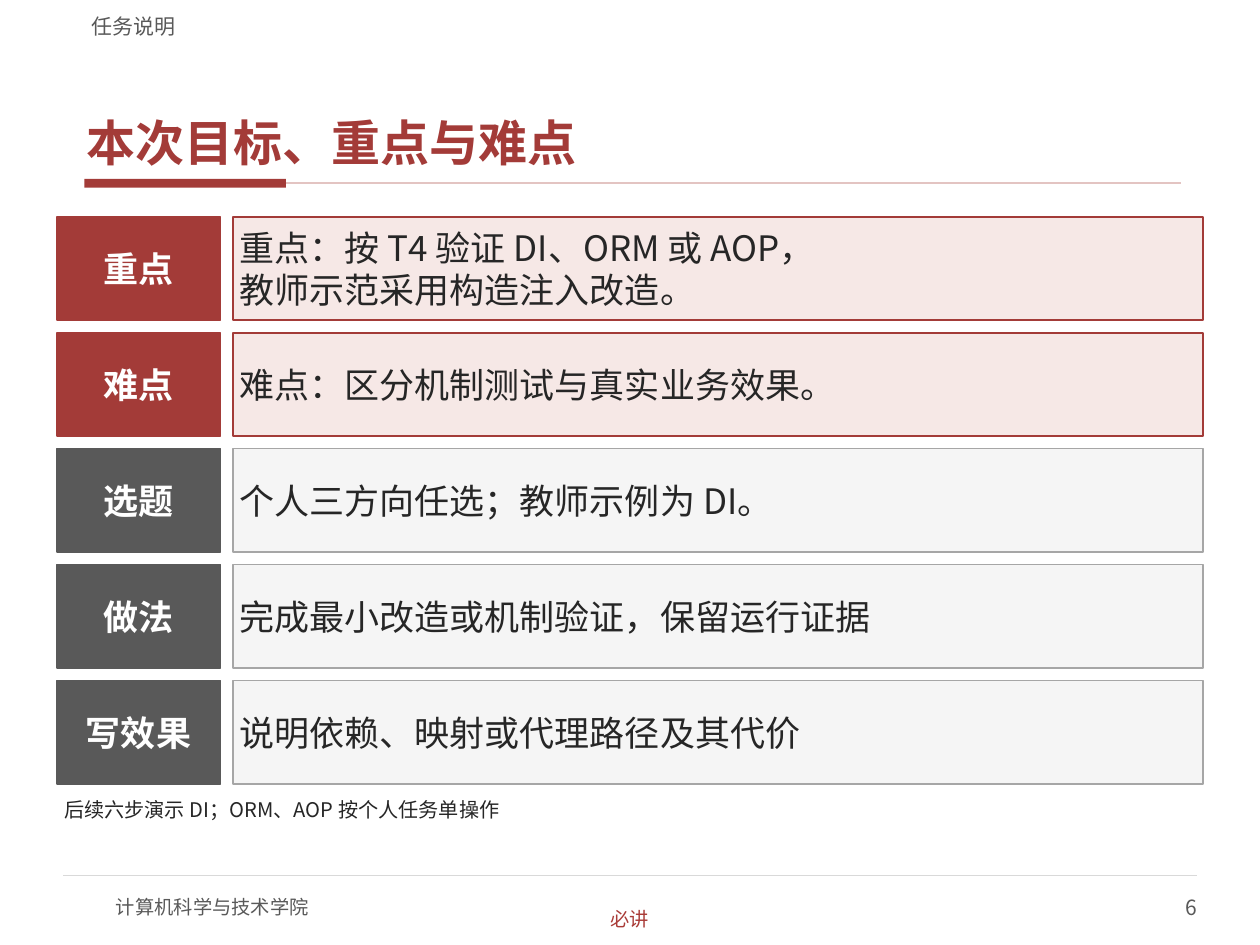
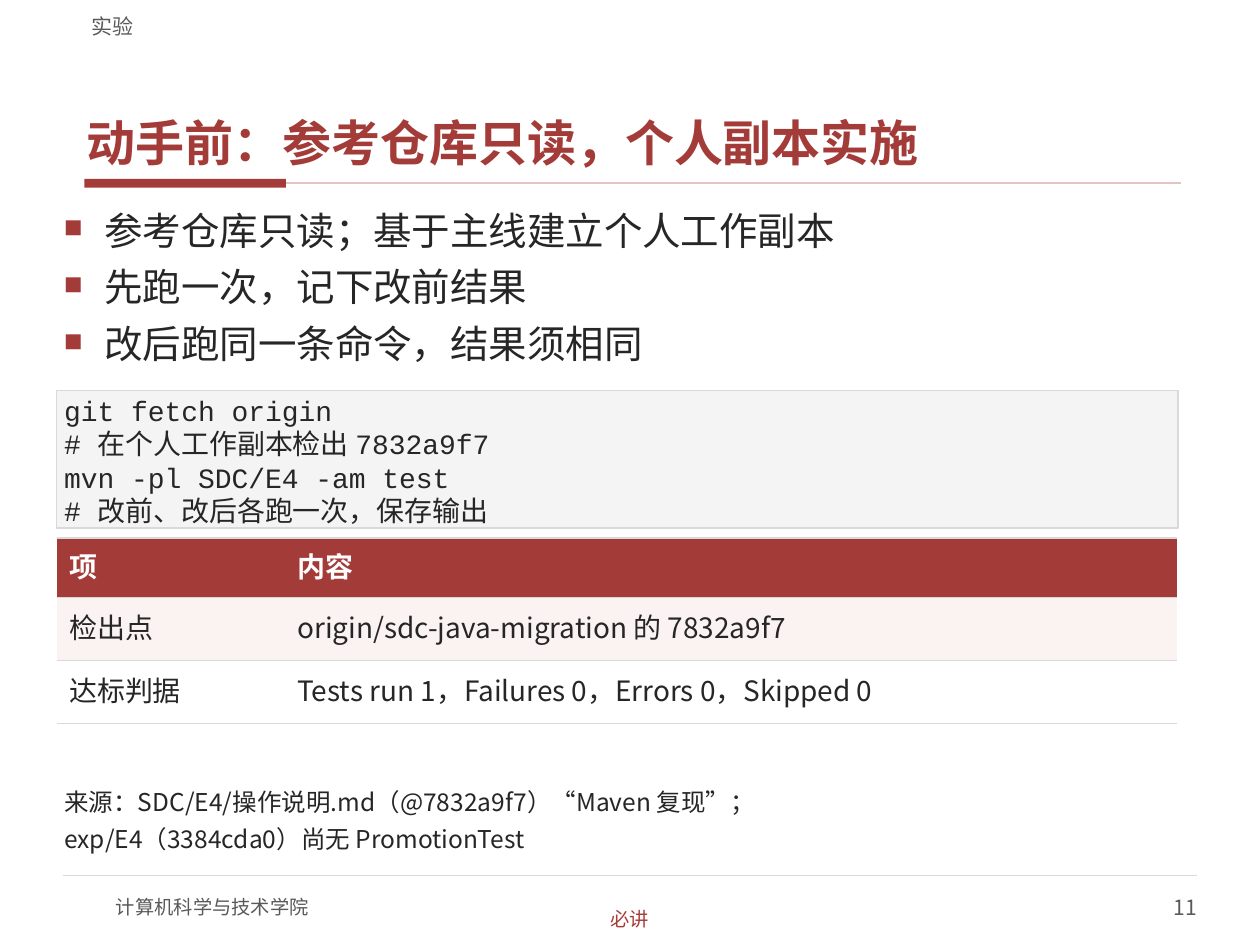
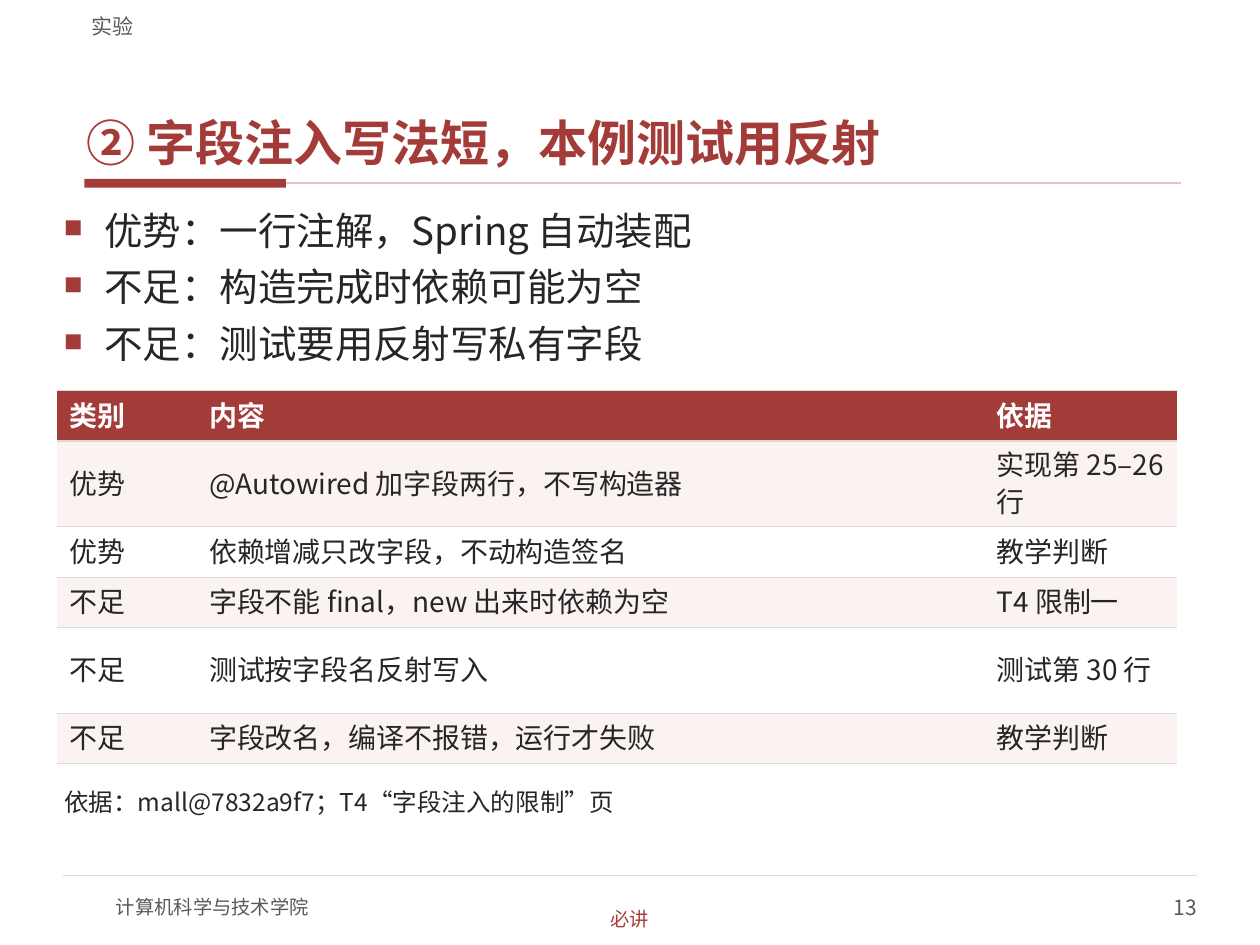
"""Build three lab-course slides: goals, preparation and field injection."""
from lxml import etree
from pptx import Presentation
from pptx import util as u
from pptx.dml.color import RGBColor
from pptx.enum import shapes, text
from pptx.oxml.ns import qn

PX = 9144
FONT = "Noto Sans CJK SC"
CODE_FONT = "Courier New"
RED = RGBColor(0xA3, 0x3B, 0x38)
TAG_RED = RGBColor(0xA9, 0x3B, 0x37)
ROSE = RGBColor(0xE3, 0xC4, 0xC2)
PALE_RED = RGBColor(0xF6, 0xE8, 0xE6)
ROW_TINT = RGBColor(0xFB, 0xF3, 0xF2)
INK = RGBColor(0x26, 0x26, 0x26)
GRAY = RGBColor(0x59, 0x59, 0x59)
MID_GRAY = RGBColor(0xA6, 0xA6, 0xA6)
RULE_GRAY = RGBColor(0xD9, 0xD9, 0xD9)
PALE_GRAY = RGBColor(0xF5, 0xF5, 0xF5)
CODE_GRAY = RGBColor(0xF4, 0xF4, 0xF4)
WHITE = RGBColor(0xFF, 0xFF, 0xFF)
LEFT, CENTER, RIGHT = text.PP_ALIGN.LEFT, text.PP_ALIGN.CENTER, text.PP_ALIGN.RIGHT
TOP, MIDDLE, BOTTOM = text.MSO_ANCHOR.TOP, text.MSO_ANCHOR.MIDDLE, text.MSO_ANCHOR.BOTTOM


def write(frame, lines, size, color, bold=False, align=LEFT, font=FONT,
          before=0, after=0, spacing=1.2, bullet=False):
    """Fill a text frame with equally formatted paragraphs."""
    frame.text = "\n".join(lines)
    for index, para in enumerate(frame.paragraphs):
        para.alignment = align
        para.line_spacing = u.Pt(size * spacing)
        para.space_before = u.Pt(before if index else 0)
        para.space_after = u.Pt(after)
        if bullet:
            props = para._p.get_or_add_pPr()
            props.set("marL", str(32 * PX))
            props.set("indent", str(-32 * PX))
            tint = etree.SubElement(props, qn("a:buClr"))
            etree.SubElement(tint, qn("a:srgbClr"), val=str(RED))
            etree.SubElement(props, qn("a:buSzPct"), val="80000")
            etree.SubElement(props, qn("a:buFont"), typeface=CODE_FONT)
            etree.SubElement(props, qn("a:buChar"), char="■")
        for span in para.runs:
            span.font.size = u.Pt(size)
            span.font.bold = bold
            span.font.color.rgb = color
            span.font.name = font
            etree.SubElement(span._r.get_or_add_rPr(), qn("a:ea"), typeface=FONT)


def add_box(page, area, inset=(0, 0), anchor=MIDDLE, fill=None, line=None, weight=1):
    """Add a text box, or a rectangle when a fill is given, and return its frame."""
    area = [value * PX for value in area]
    if fill is None:
        box = page.shapes.add_textbox(*area)
    else:
        box = page.shapes.add_shape(shapes.MSO_SHAPE.RECTANGLE, *area)
        box.shadow.inherit = False
        box.fill.solid()
        box.fill.fore_color.rgb = fill
        if line is None:
            box.line.fill.background()
        else:
            box.line.color.rgb = line
            box.line.width = u.Pt(weight)
    frame = box.text_frame
    frame.word_wrap = True
    frame.vertical_anchor = anchor
    frame.margin_left = frame.margin_right = inset[0] * PX
    frame.margin_top = frame.margin_bottom = inset[1] * PX
    return frame


deck = Presentation()
deck.slide_width = 1000 * PX
deck.slide_height = 750 * PX

pages = []
for section, heading, number in (
    ("任务说明", "本次目标、重点与难点", "6"),
    ("实验", "动手前：参考仓库只读，个人副本实施", "11"),
    ("实验", "② 字段注入写法短，本例测试用反射", "13"),
):
    page = deck.slides.add_slide(deck.slide_layouts[5])
    pages.append(page)
    add_box(page, (67, 142, 160, 7), fill=RED)
    for start, end, y, color, weight in (
        (227, 937, 145, ROSE, 1),
        (50, 950, 695, RULE_GRAY, 0.75),
    ):
        rule = page.shapes.add_connector(
            shapes.MSO_CONNECTOR.STRAIGHT, start * PX, y * PX, end * PX, y * PX)
        rule.line.color.rgb = color
        rule.line.width = u.Pt(weight)
        etree.SubElement(rule._element.spPr, qn("a:effectLst"))

    title = page.shapes.title
    title.left, title.top, title.width, title.height = 63 * PX, 33 * PX, 875 * PX, 105 * PX
    frame = title.text_frame
    frame.auto_size = text.MSO_AUTO_SIZE.NONE
    frame.vertical_anchor = BOTTOM
    frame.margin_left = frame.margin_right = 6 * PX
    frame.margin_top = frame.margin_bottom = 2 * PX
    write(frame, [heading], 28, RED, bold=True, after=2)

    write(add_box(page, (63, 4, 875, 27), (10, 0), BOTTOM), [section], 12, GRAY)
    write(add_box(page, (92, 700, 400, 40)), ["计算机科学与技术学院"], 11, GRAY)
    write(add_box(page, (750, 700, 200, 40)), [number], 12, GRAY, align=RIGHT)
    write(add_box(page, (440, 719, 120, 21)), ["必讲"], 11, TAG_RED, align=CENTER)

goals_page, setup_page, injection_page = pages

goals = (
    ("重点", ["重点：按 T4 验证 DI、ORM 或 AOP，", "教师示范采用构造注入改造。"]),
    ("难点", ["难点：区分机制测试与真实业务效果。"]),
    ("选题", ["个人三方向任选；教师示例为 DI。"]),
    ("做法", ["完成最小改造或机制验证，保留运行证据"]),
    ("写效果", ["说明依赖、映射或代理路径及其代价"]),
)
for index, (label, lines) in enumerate(goals):
    y = 172 + 92 * index
    strong, pale, edge = (RED, PALE_RED, RED) if index < 2 else (GRAY, PALE_GRAY, MID_GRAY)
    write(add_box(goals_page, (45, y, 130, 82), (8, 4), fill=strong, line=strong),
          [label], 20, WHITE, bold=True, align=CENTER)
    write(add_box(goals_page, (185, y, 770, 82), (5, 3), fill=pale, line=edge),
          lines, 20, INK)
write(add_box(goals_page, (45, 630, 910, 30), (6, 3), TOP),
      ["后续六步演示 DI；ORM、AOP 按个人任务单操作"], 11.5, INK)

commands = [
    "git fetch origin",
    "# 在个人工作副本检出 7832a9f7",
    "mvn -pl SDC/E4 -am test",
    "# 改前、改后各跑一次，保存输出",
]
write(add_box(setup_page, (45, 310, 890, 109), (6, 2), TOP, CODE_GRAY, RULE_GRAY, 0.75),
      commands, 16, INK, font=CODE_FONT)

setup_points = ["参考仓库只读；基于主线建立个人工作副本", "先跑一次，记下改前结果", "改后跑同一条命令，结果须相同"]
setup_rows = (
    ("项", "内容"),
    ("检出点", "origin/sdc-java-migration 的 7832a9f7"),
    ("达标判据", "Tests run 1，Failures 0，Errors 0，Skipped 0"),
)
setup_source = ["来源：SDC/E4/操作说明.md（@7832a9f7）“Maven 复现”；", "exp/E4（3384cda0）尚无 PromotionTest"]

injection_points = ["优势：一行注解，Spring 自动装配", "不足：构造完成时依赖可能为空", "不足：测试要用反射写私有字段"]
injection_rows = (
    ("类别", "内容", "依据"),
    ("优势", "@Autowired 加字段两行，不写构造器", "实现第 25–26 行"),
    ("优势", "依赖增减只改字段，不动构造签名", "教学判断"),
    ("不足", "字段不能 final，new 出来时依赖为空", "T4 限制一"),
    ("不足", "测试按字段名反射写入", "测试第 30 行"),
    ("不足", "字段改名，编译不报错，运行才失败", "教学判断"),
)
injection_source = ["依据：mall@7832a9f7；T4“字段注入的限制”页"]

for page, points, rows, top, widths, heights, source in (
    (setup_page, setup_points, setup_rows, 427, (181, 708), (47, 50, 50), setup_source),
    (injection_page, injection_points, injection_rows, 310, (111, 625, 153),
     (40, 68, 40, 40, 68, 40), injection_source),
):
    write(add_box(page, (45, 162, 910, 137), (6, 2), TOP),
          points, 22, INK, before=4, after=2, bullet=True)
    write(add_box(page, (45, 623, 910, 50), (6, 2), TOP),
          source, 14, INK, before=2, after=2)
    table = page.shapes.add_table(
        len(rows), len(widths), 45 * PX, top * PX, sum(widths) * PX, sum(heights) * PX).table
    for column, width in zip(table.columns, widths):
        column.width = width * PX
    for row, height in zip(table.rows, heights):
        row.height = height * PX
    for row_index, values in enumerate(rows):
        header = row_index == 0
        for column_index, value in enumerate(values):
            cell = table.cell(row_index, column_index)
            cell.vertical_anchor = MIDDLE
            props = cell._tc.get_or_add_tcPr()
            for side in "LRTB":
                edge = etree.SubElement(props, qn(f"a:ln{side}"), w=str(u.Pt(0.75)))
                if side in "LR":
                    etree.SubElement(edge, qn("a:noFill"))
                else:
                    paint = etree.SubElement(edge, qn("a:solidFill"))
                    etree.SubElement(paint, qn("a:srgbClr"), val=str(RULE_GRAY))
            cell.fill.solid()
            cell.fill.fore_color.rgb = RED if header else ROW_TINT if row_index % 2 else WHITE
            write(cell.text_frame, [value], 16, WHITE if header else INK,
                  bold=header, spacing=1.3)

deck.save("out.pptx")
